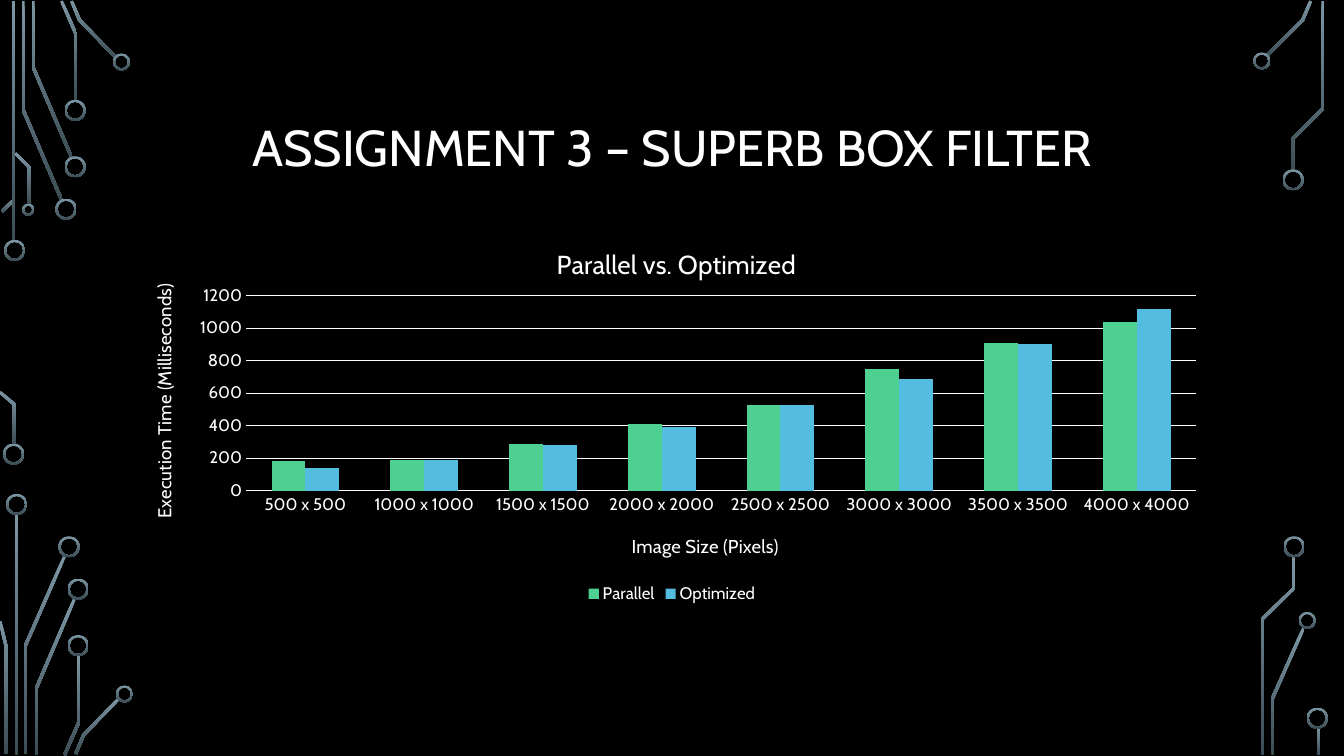
import math
from dataclasses import dataclass

from pptx import Presentation
from pptx.chart.data import CategoryChartData
from pptx.dml.color import RGBColor
from pptx.enum.chart import XL_CHART_TYPE, XL_LEGEND_POSITION, XL_TICK_MARK
from pptx.enum.shapes import MSO_SHAPE
from pptx.enum.text import MSO_ANCHOR, PP_ALIGN
from pptx.oxml import parse_xml
from pptx.oxml.ns import nsdecls, qn
from pptx.util import Inches, Pt

RECTANGLE, DONUT = MSO_SHAPE.RECTANGLE, MSO_SHAPE.DONUT
COLUMNS = XL_CHART_TYPE.COLUMN_CLUSTERED
LEGEND_BOTTOM = XL_LEGEND_POSITION.BOTTOM
NO_TICK = XL_TICK_MARK.NONE
CENTER, MIDDLE = PP_ALIGN.CENTER, MSO_ANCHOR.MIDDLE


@dataclass(frozen=True)
class Theme:
    font: str = "Cabin"
    background: str = "000000"
    text: str = "FFFFFF"
    trace_top: str = "7C96A3"
    trace_bottom: str = "3B4C54"
    series: tuple = ("4FD093", "54BCDF")
    title_size: float = 36
    chart_title_size: float = 18.6
    axis_title_size: float = 13.3
    label_size: float = 12
    chart_size: float = 10
    trace_width: float = 0.03
    ring_line: float = 0.02


# Circuit traces as centre lines, in inches
TRACES = [
    # top left
    [(0.61, 1.98), (0.23, 1.09), (0.23, 0.01)],
    [(0.71, 1.56), (0.33, 0.67), (0.33, 0.01)],
    [(0.75, 1), (0.75, 0.33), (0.61, 0.01)],
    [(1.15, 0.57), (0.79, 0.2), (0.71, 0.01)],
    [(0.02, 2.1), (0.14, 1.98)],
    [(0.14, 4.41), (0.14, 4.01), (0, 3.89)],
    [(0.29, 2.03), (0.29, 1.66), (0.15, 1.52)],
    # bottom left
    [(0.25, 7.48), (0.25, 6.41), (0.64, 5.52)],
    [(0.06, 7.48), (0.06, 6.41), (0, 6.16)],
    [(0.36, 7.49), (0.36, 6.83), (0.74, 5.94)],
    [(0.64, 7.49), (0.78, 7.17), (0.78, 6.5)],
    [(0.75, 7.48), (0.83, 7.29), (1.18, 6.93)],
    # top right
    [(12.57, 0.55), (12.92, 0.2), (13, 0.01)],
    [(12.82, 1.69), (12.82, 1.38), (13.12, 1.08), (13.12, 0.01)],
    # bottom right
    [(12.62, 7.49), (12.62, 6.93), (12.93, 6.23)],
    [(12.52, 7.49), (12.52, 6.14), (12.83, 5.84), (12.83, 5.52)],
]

# Upright bars: left, top, height
BARS = [(0.12, 0.01, 2.39), (0.15, 5.1, 2.39), (13.06, 7.21, 0.28)]

# Ring corners (left, top), grouped by diameter
RINGS = {
    0.21: [(0.04, 2.38), (0.03, 4.4), (0.55, 1.97), (0.64, 1.55), (0.64, 0.99),
           (0.06, 4.9), (0.58, 5.32), (0.67, 5.74), (0.67, 6.3),
           (12.72, 1.68), (12.73, 5.32), (12.96, 7.02)],
    0.17: [(1.12, 0.53), (1.15, 6.8), (12.43, 0.52), (12.88, 6.07)],
    0.12: [(0.22, 2.02)],
}

SIZES = [f"{side} x {side}" for side in range(500, 4001, 500)]
TIMES = {
    "Parallel": (180, 190, 290, 410, 530, 750, 910, 1040),
    "Optimized": (140, 190, 280, 390, 530, 690, 900, 1120),
}


def ribbon(points, width):
    """Outline of a centre line, with mitred corners."""
    normals = []
    for (x1, y1), (x2, y2) in zip(points, points[1:]):
        length = math.hypot(x2 - x1, y2 - y1)
        normals.append(((y1 - y2) / length, (x2 - x1) / length))
    one_side, other_side = [], []
    for (x, y), before, after in zip(points, normals[:1] + normals, normals + normals[-1:]):
        scale = width / 2 / (1 + before[0] * after[0] + before[1] * after[1])
        dx, dy = (before[0] + after[0]) * scale, (before[1] + after[1]) * scale
        one_side.append((x + dx, y + dy))
        other_side.append((x - dx, y - dy))
    return one_side + other_side[::-1]


def place(parent, index, **fractions):
    """Give a chart part a fixed layout, in fractions of the chart."""
    old = parent.find(qn("c:layout"))
    if old is not None:
        parent.remove(old)
    target = '<c:layoutTarget val="inner"/>' if "w" in fractions else ""
    modes = "".join(f'<c:{key}Mode val="edge"/>' for key in ("x", "y"))
    values = "".join(f'<c:{key} val="{value}"/>' for key, value in fractions.items())
    parent.insert(index, parse_xml(
        f'<c:layout {nsdecls("c")}><c:manualLayout>{target}{modes}{values}'
        "</c:manualLayout></c:layout>"))


class SlideBuilder:
    def __init__(self, page, theme):
        self.page, self.theme = page, theme
        page.background.fill.solid()
        page.background.fill.fore_color.rgb = RGBColor.from_string(theme.background)

    def style_font(self, font, size):
        font.name, font.size, font.bold = self.theme.font, Pt(size), False
        font.color.rgb = RGBColor.from_string(self.theme.text)

    def style_trace(self, shape):
        shape.shadow.inherit = False
        shape.line.fill.background()
        shape.fill.gradient()
        shape.fill.gradient_angle = 270
        colors = (self.theme.trace_top, self.theme.trace_bottom)
        for stop, position, color in zip(shape.fill.gradient_stops, (0, 1), colors):
            stop.position = position
            stop.color.rgb = RGBColor.from_string(color)

    def trace(self, points):
        outline = [(Inches(x), Inches(y)) for x, y in ribbon(points, self.theme.trace_width)]
        builder = self.page.shapes.build_freeform(*outline[0])
        builder.add_line_segments(outline[1:], close=True)
        self.style_trace(builder.convert_to_shape())

    def preset(self, kind, left, top, width, height):
        shape = self.page.shapes.add_shape(
            kind, Inches(left), Inches(top), Inches(width), Inches(height))
        self.style_trace(shape)
        return shape

    def ring(self, left, top, diameter):
        shape = self.preset(DONUT, left, top, diameter, diameter)
        shape.adjustments[0] = self.theme.ring_line / diameter

    def title(self, text, left, top, width, height):
        box = self.page.shapes.add_textbox(
            Inches(left), Inches(top), Inches(width), Inches(height))
        frame = box.text_frame
        frame.word_wrap, frame.vertical_anchor = True, MIDDLE
        para = frame.paragraphs[0]
        para.alignment, para.line_spacing = CENTER, 0.9
        span = para.add_run()
        span.text = text
        self.style_font(span.font, self.theme.title_size)

    def chart_heading(self, heading, text, size, x, y):
        span = heading.text_frame.paragraphs[0].add_run()
        span.text = text
        self.style_font(span.font, size)
        place(heading._element, 1, x=x, y=y)

    def column_chart(self, left, top, width, height):
        theme = self.theme
        data = CategoryChartData()
        data.categories = SIZES
        for name, values in TIMES.items():
            data.add_series(name, values)
        chart = self.page.shapes.add_chart(
            COLUMNS, Inches(left), Inches(top), Inches(width), Inches(height), data).chart
        self.style_font(chart.font, theme.chart_size)

        # Columns
        plot = chart.plots[0]
        plot.gap_width, plot.overlap, plot.vary_by_categories = 150, 0, False
        for series, color in zip(plot.series, theme.series):
            series.format.fill.solid()
            series.format.fill.fore_color.rgb = RGBColor.from_string(color)
        place(plot._element.getparent(), 0, x=0.11, y=0.2, w=0.87, h=0.5)

        # Axes
        for axis in (chart.category_axis, chart.value_axis):
            axis.major_tick_mark = axis.minor_tick_mark = NO_TICK
            axis.format.line.fill.background()
            self.style_font(axis.tick_labels.font, theme.label_size)
        scale = chart.value_axis
        scale.minimum_scale, scale.maximum_scale, scale.major_unit = 0, 1200, 200
        grid = scale.major_gridlines.format.line
        grid.width = Pt(0.75)
        grid.color.rgb = RGBColor.from_string(theme.text)

        # Headings
        chart.has_title = True
        self.chart_heading(chart.chart_title, "Parallel vs. Optimized",
                           theme.chart_title_size, 0.39, 0.06)
        self.chart_heading(chart.category_axis.axis_title, "Image Size (Pixels)",
                           theme.axis_title_size, 0.46, 0.8)
        self.chart_heading(scale.axis_title, "Execution Time (Milliseconds)",
                           theme.axis_title_size, 0.02, 0.16)
        body = scale.axis_title.text_frame._txBody.bodyPr
        body.set("rot", "-5400000")
        body.set("vert", "horz")

        # Legend
        chart.has_legend = True
        chart.legend.position, chart.legend.include_in_layout = LEGEND_BOTTOM, False
        self.style_font(chart.legend.font, theme.label_size)


def main():
    deck = Presentation()
    deck.slide_width, deck.slide_height = Inches(13.33), Inches(7.5)
    theme = Theme()
    builder = SlideBuilder(deck.slides.add_slide(deck.slide_layouts[6]), theme)

    # Circuit decoration
    for points in TRACES:
        builder.trace(points)
    for left, top, height in BARS:
        builder.preset(RECTANGLE, left, top, theme.trace_width, height)
    for diameter, corners in RINGS.items():
        for left, top in corners:
            builder.ring(left, top, diameter)

    # Content
    builder.title("ASSIGNMENT 3 – SUPERB BOX FILTER", 1.25, 0.68, 10.83, 1.62)
    builder.column_chart(1.25, 2.16, 10.83, 3.87)
    deck.save("out.pptx")


if __name__ == "__main__":
    main()
